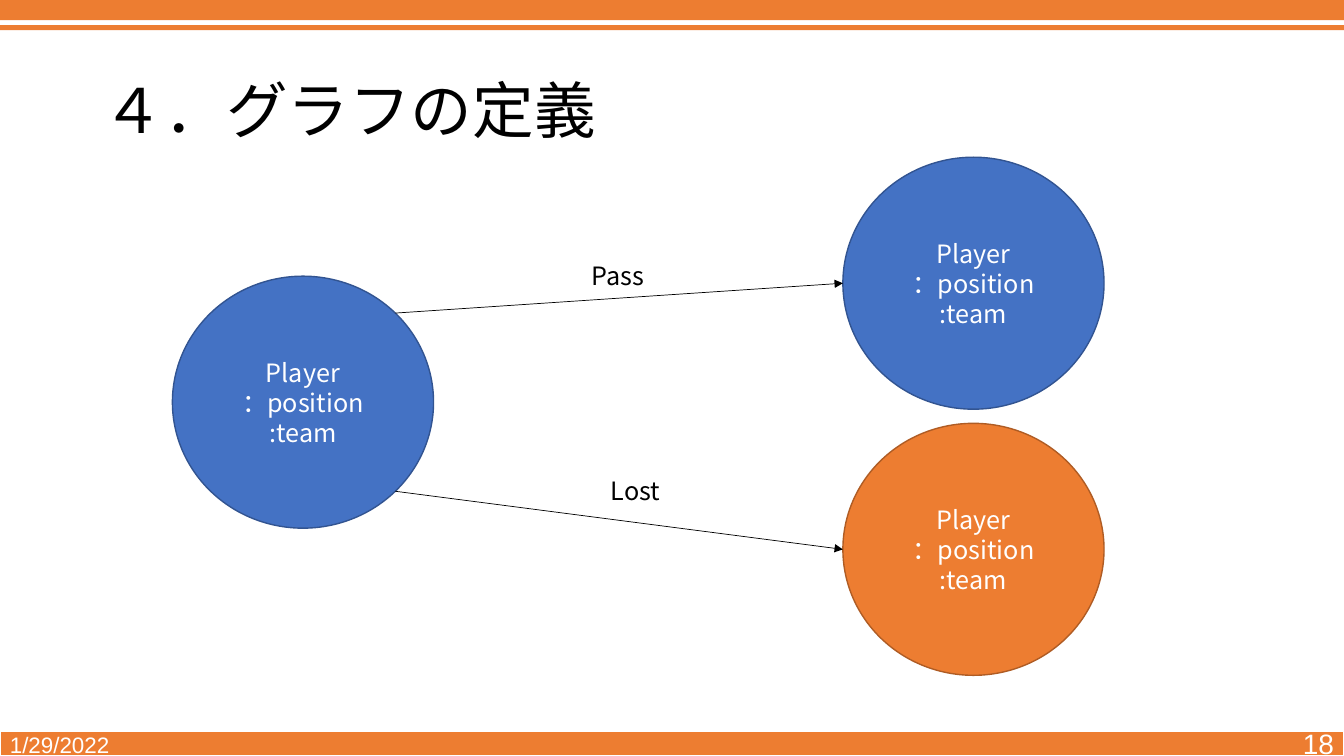
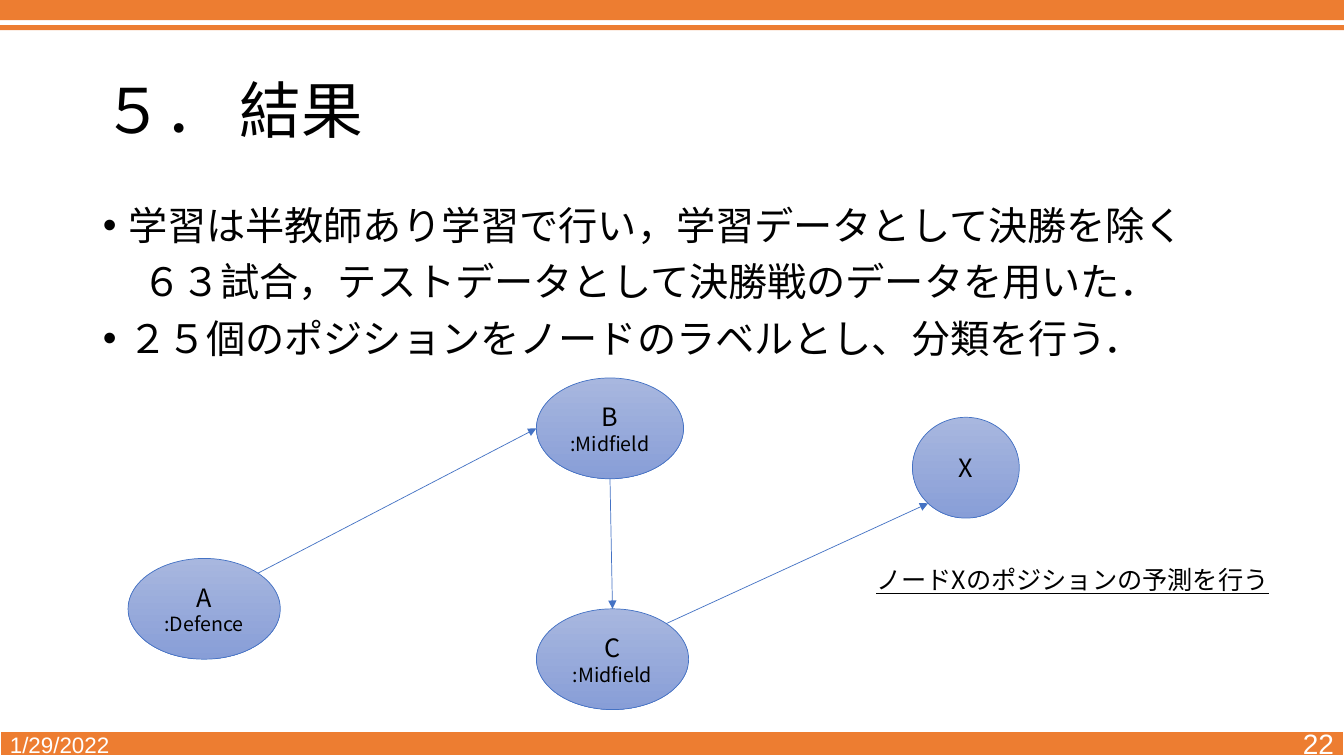
import enum
import math
from dataclasses import dataclass

import lxml.etree
import pptx
import pptx.dml.color
import pptx.enum.dml
import pptx.enum.shapes
import pptx.enum.text
import pptx.oxml.ns
import pptx.util

Inches = pptx.util.Inches
Pt = pptx.util.Pt
RGB = pptx.dml.color.RGBColor.from_string
qn = pptx.oxml.ns.qn
Align = pptx.enum.text.PP_ALIGN
Anchor = pptx.enum.text.MSO_ANCHOR


# Theme: colours, fonts and type sizes
@dataclass(frozen=True)
class Theme:
    orange: str = "ED7D31"
    orange_edge: str = "AF5C24"
    blue: str = "4472C4"
    blue_edge: str = "325491"
    pale_top: str = "A8B7DF"
    pale_bottom: str = "889ED7"
    black: str = "000000"
    white: str = "FFFFFF"
    text_font: str = "Noto Sans CJK JP"
    footer_font: str = "Arial"
    title_size: int = 44
    body_size: int = 28
    node_size: int = 18
    role_size: int = 14
    date_size: int = 16
    number_size: int = 20


THEME = Theme()
SLIDE_WIDTH, SLIDE_HEIGHT = 13.33, 7.5
TITLE_ONLY, TITLE_AND_BODY = 5, 1


# Descriptions of the repeated elements
@dataclass(frozen=True)
class Box:
    left: float
    top: float
    width: float
    height: float

    def lengths(self) -> tuple:
        return tuple(Inches(n) for n in (self.left, self.top, self.width, self.height))


@dataclass(frozen=True)
class TextStyle:
    size: int
    color: str = THEME.black
    font: str = THEME.text_font
    align: Align = Align.LEFT
    underline: bool = False


@dataclass(frozen=True)
class NodeStyle:
    fills: tuple[str, ...]  # two colours make a gradient
    edge: str
    edge_width: float
    text_color: str


@dataclass(frozen=True)
class Node:
    box: Box
    lines: tuple[str, ...]
    sizes: tuple[int, ...]
    style: NodeStyle


class Site(enum.IntEnum):
    """Connection sites of an ellipse, counter-clockwise from the top."""
    TOP = 0
    LEFT = 2
    BOTTOM_LEFT = 3
    BOTTOM = 4
    BOTTOM_RIGHT = 5
    TOP_RIGHT = 7


@dataclass(frozen=True)
class Arrow:
    start: str
    start_site: Site
    end: str
    end_site: Site


OWN_TEAM = NodeStyle((THEME.blue,), THEME.blue_edge, 1, THEME.white)
OTHER_TEAM = NodeStyle((THEME.orange,), THEME.orange_edge, 1, THEME.white)
PALE = NodeStyle((THEME.pale_top, THEME.pale_bottom), THEME.blue, 0.5, THEME.black)


# Text
def style_paragraph(paragraph, style: TextStyle) -> None:
    paragraph.alignment = style.align
    font = paragraph.font
    font.size = Pt(style.size)
    font.name = style.font
    font.color.rgb = RGB(style.color)
    if style.underline:
        font.underline = True
    latin = paragraph._p.pPr.find(qn("a:defRPr")).find(qn("a:latin"))
    east_asian = lxml.etree.Element(qn("a:ea"), typeface=style.font)
    latin.addnext(east_asian)


def write_lines(text_frame, lines: tuple[str, ...], styles: list[TextStyle]) -> None:
    text_frame.text = "\n".join(lines)
    text_frame.word_wrap = True
    for paragraph, style in zip(text_frame.paragraphs, styles):
        style_paragraph(paragraph, style)


def add_text(slide, box: Box, text: str, style: TextStyle, anchor: Anchor = Anchor.TOP) -> None:
    text_frame = slide.shapes.add_textbox(*box.lengths()).text_frame
    write_lines(text_frame, (text,), [style])
    text_frame.vertical_anchor = anchor


def fill_placeholder(placeholder, box: Box, lines: tuple[str, ...], size: int, anchor: Anchor) -> None:
    placeholder.left, placeholder.top, placeholder.width, placeholder.height = box.lengths()
    text_frame = placeholder.text_frame
    write_lines(text_frame, lines, [TextStyle(size)] * len(lines))
    text_frame.vertical_anchor = anchor
    text_frame.auto_size = pptx.enum.text.MSO_AUTO_SIZE.NONE
    for paragraph in text_frame.paragraphs:
        paragraph.line_spacing = 0.9


def set_indent(paragraph, left: float, first: float, bullet: bool) -> None:
    properties = paragraph._p.get_or_add_pPr()
    properties.set("marL", str(Inches(left)))
    properties.set("indent", str(Inches(first)))
    if bullet:
        mark = lxml.etree.Element(qn("a:buChar"), char="•")
    else:
        mark = lxml.etree.Element(qn("a:buNone"))
    properties.find(qn("a:defRPr")).addprevious(mark)


# Shared frame: bands on the master, title and footer on each slide
def add_master_bands(presentation, slide) -> None:
    bands = (
        (Box(0, 0, SLIDE_WIDTH, 0.2), None),
        (Box(0, 0.25, SLIDE_WIDTH, 0.05), None),
        (Box(0, 7.25, SLIDE_WIDTH, 0.25), THEME.white),
    )
    master_tree = presentation.slide_master.element.cSld.spTree
    for index, (box, edge) in enumerate(bands):
        band = slide.shapes.add_shape(pptx.enum.shapes.MSO_SHAPE.RECTANGLE, *box.lengths())
        band.shadow.inherit = False
        band.fill.solid()
        band.fill.fore_color.rgb = RGB(THEME.orange)
        if edge:
            band.line.color.rgb = RGB(edge)
            band.line.width = Pt(1.5)
        else:
            band.line.fill.background()
        band.element.nvSpPr.cNvPr.set("id", str(101 + index))
        master_tree.insert(2 + index, band.element)


def add_framed_slide(presentation, layout: int, title: str, number: str):
    slide = presentation.slides.add_slide(presentation.slide_layouts[layout])
    fill_placeholder(slide.shapes.title, Box(0.92, 0.4, 11.5, 1.45), (title,),
                     THEME.title_size, Anchor.MIDDLE)
    add_text(slide, Box(0, 7.19, 3, 0.4), "1/29/2022",
             TextStyle(THEME.date_size, THEME.white, THEME.footer_font), Anchor.MIDDLE)
    add_text(slide, Box(10.33, 7.17, 3, 0.4), number,
             TextStyle(THEME.number_size, THEME.white, THEME.footer_font, Align.RIGHT),
             Anchor.MIDDLE)
    return slide


# Graph drawing
def add_node(slide, node: Node):
    shape = slide.shapes.add_shape(pptx.enum.shapes.MSO_SHAPE.OVAL, *node.box.lengths())
    shape.shadow.inherit = False
    style = node.style
    if len(style.fills) == 1:
        shape.fill.solid()
        shape.fill.fore_color.rgb = RGB(style.fills[0])
    else:
        shape.fill.gradient()
        shape.fill.gradient_angle = 270
        for stop, color in zip(shape.fill.gradient_stops, style.fills):
            stop.color.rgb = RGB(color)
    shape.line.color.rgb = RGB(style.edge)
    shape.line.width = Pt(style.edge_width)
    write_lines(shape.text_frame, node.lines,
                [TextStyle(size, style.text_color, align=Align.CENTER) for size in node.sizes])
    shape.text_frame.vertical_anchor = Anchor.MIDDLE
    return shape


def site_point(shape, site: Site) -> tuple[int, int]:
    angle = math.radians(90 + 45 * site)
    x = shape.left + shape.width / 2 * (1 + math.cos(angle))
    y = shape.top + shape.height / 2 * (1 - math.sin(angle))
    return round(x), round(y)


def add_arrow(slide, shapes: dict, arrow: Arrow, color: str) -> None:
    start, end = shapes[arrow.start], shapes[arrow.end]
    connector = slide.shapes.add_connector(pptx.enum.shapes.MSO_CONNECTOR.STRAIGHT, 0, 0, 0, 0)
    connector.begin_connect(start, 0)
    connector.end_connect(end, 0)
    # An ellipse has eight sites, so choose the site and place the ends on it
    for tag, site in (("a:stCxn", arrow.start_site), ("a:endCxn", arrow.end_site)):
        next(connector.element.iter(qn(tag))).set("idx", str(int(site)))
    connector.begin_x, connector.begin_y = site_point(start, arrow.start_site)
    connector.end_x, connector.end_y = site_point(end, arrow.end_site)
    connector.line.color.rgb = RGB(color)
    connector.line.width = Pt(0.5)
    properties = connector.element.spPr
    lxml.etree.SubElement(properties.find(qn("a:ln")), qn("a:tailEnd"), type="triangle")
    lxml.etree.SubElement(properties, qn("a:effectLst"))


def add_graph(slide, nodes: dict[str, Node], arrows: tuple[Arrow, ...], color: str) -> None:
    shapes = {name: add_node(slide, node) for name, node in nodes.items()}
    for arrow in arrows:
        add_arrow(slide, shapes, arrow, color)


# Slides
def build_definition_slide(presentation):
    slide = add_framed_slide(presentation, TITLE_ONLY, "４．グラフの定義", "18")
    places = {
        "passer": (1.71, 2.74, OWN_TEAM),
        "receiver": (8.36, 1.56, OWN_TEAM),
        "opponent": (8.36, 4.2, OTHER_TEAM),
    }
    nodes = {
        name: Node(Box(left, top, 2.59, 2.5), ("Player", "：position", ":team"),
                   (THEME.node_size,) * 3, style)
        for name, (left, top, style) in places.items()
    }
    arrows = (
        Arrow("passer", Site.TOP_RIGHT, "receiver", Site.LEFT),
        Arrow("passer", Site.BOTTOM_RIGHT, "opponent", Site.LEFT),
    )
    add_graph(slide, nodes, arrows, THEME.black)
    add_text(slide, Box(5.77, 2.53, 1.99, 0.4), "Pass", TextStyle(THEME.node_size))
    add_text(slide, Box(5.96, 4.67, 1.42, 0.4), "Lost", TextStyle(THEME.node_size))
    return slide


def build_result_slide(presentation) -> None:
    slide = add_framed_slide(presentation, TITLE_AND_BODY, "５． 結果", "22")
    body = slide.placeholders[1]
    fill_placeholder(body, Box(0.92, 2, 11.5, 1.75), (
        "学習は半教師あり学習で行い，学習データとして決勝を除く",
        "６３試合，テストデータとして決勝戦のデータを用いた．",
        "２５個のポジションをノードのラベルとし、分類を行う．",
    ), THEME.body_size, Anchor.TOP)
    for paragraph, bullet in zip(body.text_frame.paragraphs, (True, False, True)):
        paragraph.space_before = Pt(10)
        set_indent(paragraph, 0.25 if bullet else 0.39, -0.25 if bullet else 0, bullet)

    sizes = (THEME.node_size, THEME.role_size)
    nodes = {
        "A": Node(Box(1.27, 5.54, 1.51, 1), ("A", ":Defence"), sizes, PALE),
        "B": Node(Box(5.32, 3.75, 1.46, 1), ("B", ":Midfield"), sizes, PALE),
        "C": Node(Box(5.32, 6.04, 1.51, 1), ("C", ":Midfield"), sizes, PALE),
        "X": Node(Box(9.05, 4.14, 1.06, 1), ("X",), sizes[:1], PALE),
    }
    arrows = (
        Arrow("A", Site.TOP_RIGHT, "B", Site.LEFT),
        Arrow("B", Site.BOTTOM, "C", Site.TOP),
        Arrow("C", Site.TOP_RIGHT, "X", Site.BOTTOM_LEFT),
    )
    add_graph(slide, nodes, arrows, THEME.blue)
    add_text(slide, Box(8.59, 5.55, 4.18, 0.4), "ノードXのポジションの予測を行う",
             TextStyle(THEME.node_size, underline=True))


def main() -> None:
    presentation = pptx.Presentation()
    presentation.slide_width = Inches(SLIDE_WIDTH)
    presentation.slide_height = Inches(SLIDE_HEIGHT)
    first_slide = build_definition_slide(presentation)
    add_master_bands(presentation, first_slide)
    build_result_slide(presentation)
    presentation.save("out.pptx")


if __name__ == "__main__":
    main()
